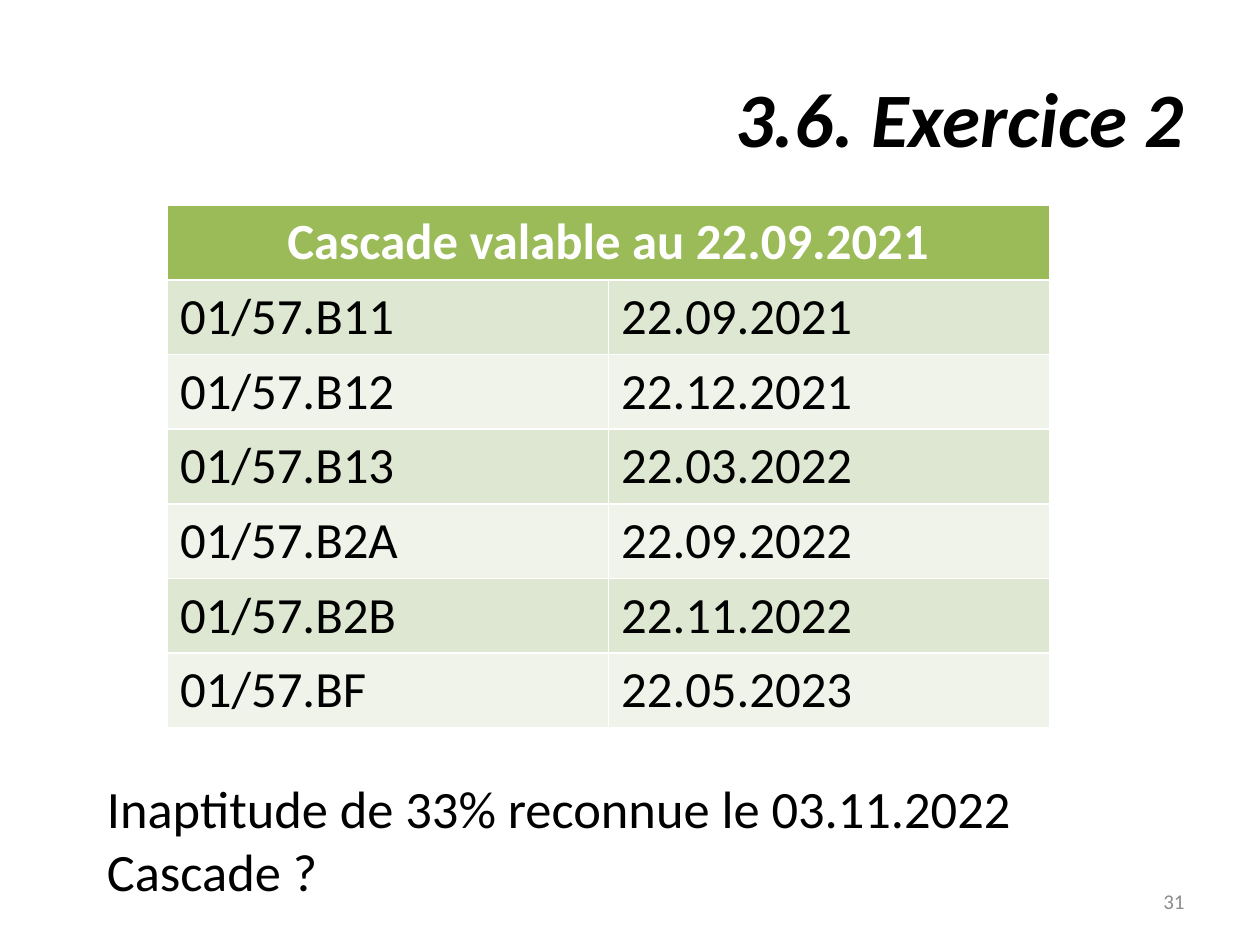
import pptx
import pptx.dml.color
import pptx.enum.text
import pptx.util
from pptx.util import Inches

ALIGN = pptx.enum.text.PP_ALIGN
ANCHOR = pptx.enum.text.MSO_ANCHOR
FONT = "Calibri"
HEADER = "Cascade valable au 22.09.2021"
STEPS = [
    ("01/57.B11", "22.09.2021"),
    ("01/57.B12", "22.12.2021"),
    ("01/57.B13", "22.03.2022"),
    ("01/57.B2A", "22.09.2022"),
    ("01/57.B2B", "22.11.2022"),
    ("01/57.BF", "22.05.2023"),
]


def rgb(value):
    """Return the colour for a hex string."""
    return pptx.dml.color.RGBColor.from_string(value)


def write(tf, text, size, color="000000", align=ALIGN.LEFT, bold=False, italic=False):
    """Fill a text frame and format all its runs."""
    tf.text = text
    for p in tf.paragraphs:
        p.alignment = align
        for r in p.runs:
            r.font.name = FONT
            r.font.size = pptx.util.Pt(size)
            r.font.color.rgb = rgb(color)
            r.font.bold = bold
            r.font.italic = italic


def add_title(s, left, top, width, height):
    """Place the slide title in the given box."""
    title = s.shapes.title
    title.left, title.top, title.width, title.height = left, top, width, height
    title.text_frame.vertical_anchor = ANCHOR.MIDDLE
    write(title.text_frame, "3.6. Exercice 2", 44, align=ALIGN.RIGHT, bold=True, italic=True)


def add_cascade(s, left, top, width, height):
    """Place the table of cascade steps under a merged header."""
    table = s.shapes.add_table(len(STEPS) + 1, 2, left, top, width, height).table
    header = table.cell(0, 0)
    header.merge(table.cell(0, 1))
    header.fill.solid()
    header.fill.fore_color.rgb = rgb("9BBB59")
    write(header.text_frame, HEADER, 29, "FFFFFF", ALIGN.CENTER, bold=True)
    for row, step in enumerate(STEPS, 1):
        for col, text in enumerate(step):
            cell = table.cell(row, col)
            cell.fill.solid()
            cell.fill.fore_color.rgb = rgb("DEE7D1" if row % 2 else "EFF3EA")
            write(cell.text_frame, text, 29)


def add_text(s, left, top, width, height, text, size, anchor=ANCHOR.TOP, **style):
    """Place a wrapped text box in the given box."""
    tf = s.shapes.add_textbox(left, top, width, height).text_frame
    tf.word_wrap = True
    tf.vertical_anchor = anchor
    write(tf, text, size, **style)


def main():
    """Build the exercise slide and save it."""
    prs = pptx.Presentation()
    prs.slide_width, prs.slide_height = Inches(10), Inches(7.5)
    s = prs.slides.add_slide(prs.slide_layouts.get_by_name("Title Only"))
    add_title(s, Inches(0.5), Inches(0.3), Inches(9), Inches(1.25))
    add_cascade(s, Inches(1.33), Inches(1.63), Inches(7), Inches(4.08))
    add_text(s, Inches(7.17), Inches(6.95), Inches(2.33), Inches(0.4), "31", 12,
             ANCHOR.MIDDLE, color="8C8C8C", align=ALIGN.RIGHT)
    add_text(s, Inches(0.75), Inches(6.11), Inches(8.43), Inches(1.11),
             "Inaptitude de 33% reconnue le 03.11.2022\nCascade ?", 30)
    prs.save("out.pptx")


if __name__ == "__main__":
    main()
